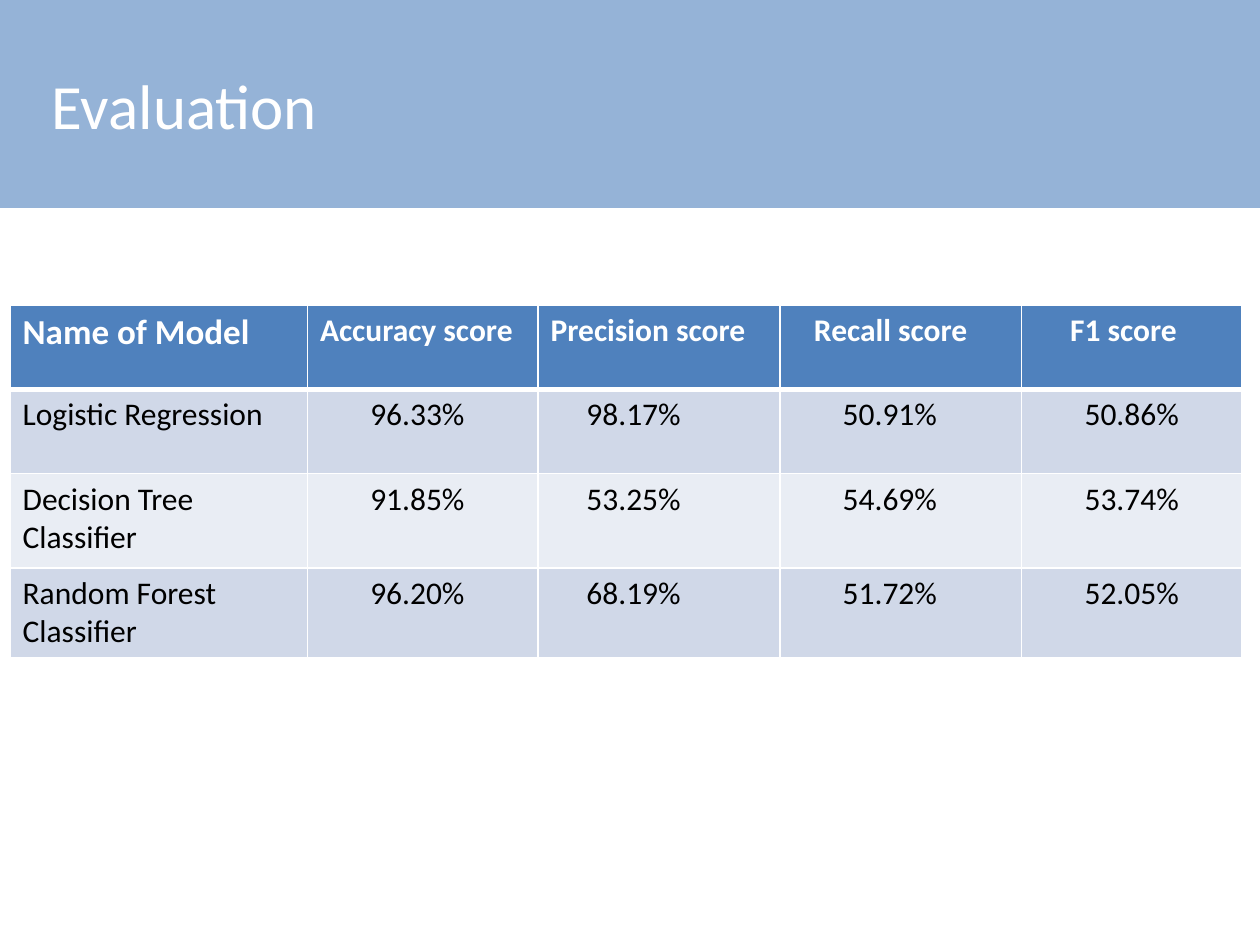
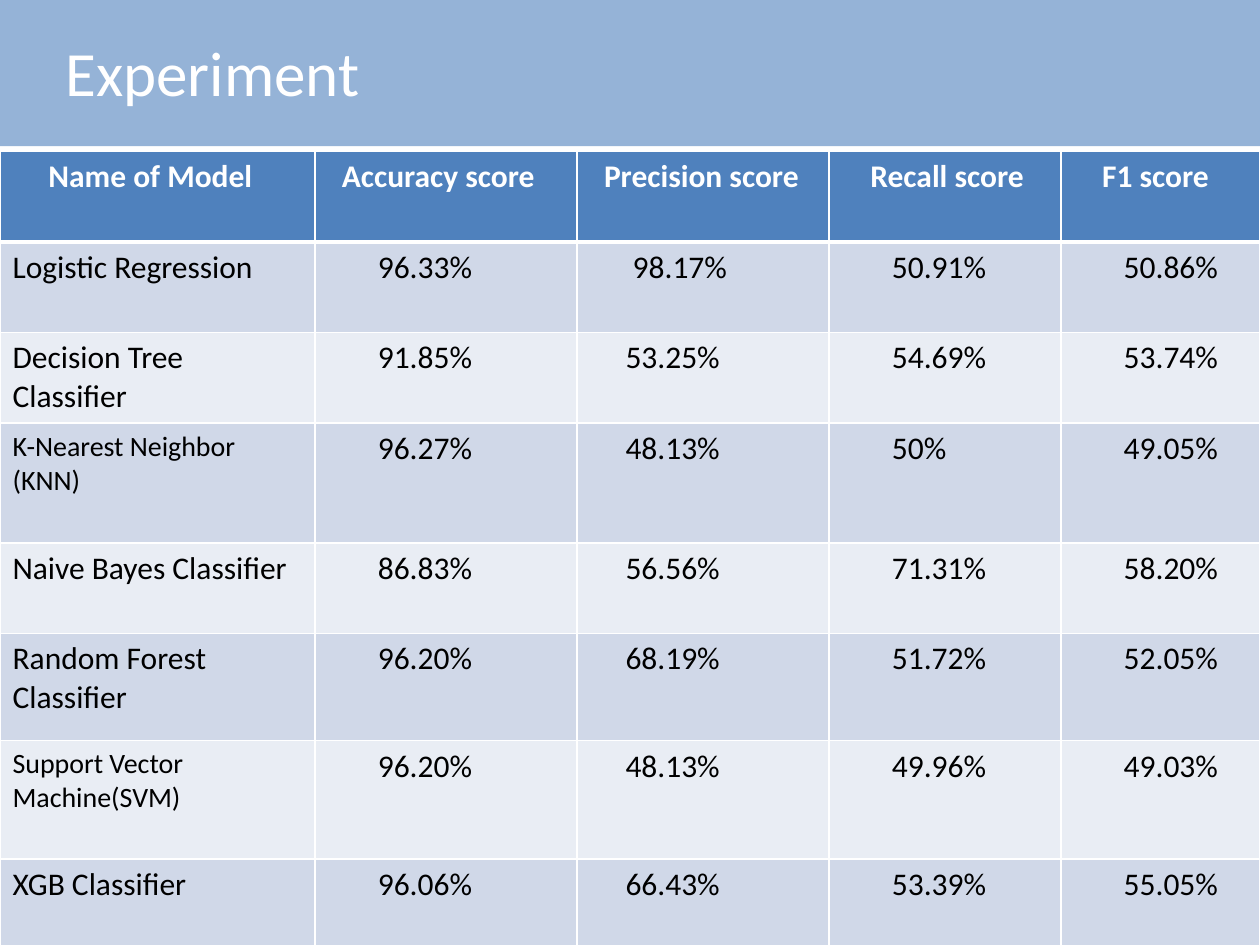
import pptx
import pptx.dml.color
import pptx.enum.shapes
import pptx.enum.text
import pptx.oxml.ns
import pptx.util
import lxml.etree


def tint(code):
    return pptx.dml.color.RGBColor.from_string(code)


def assign(item, form):
    for key, value in form.items():
        setattr(item, key, value)


class Deck:
    """Holds the shared style and the slide being filled, on a 100 by 75 grid."""

    band, head, rows, white, ink = "95B3D7", "4F81BD", ("D0D8E8", "E9EDF4"), "FFFFFF", "000000"
    face, inset, step = "Calibri", 1, 0.57

    def __init__(self):
        self.deck = pptx.Presentation()
        assign(self.deck, {"slide_width": pptx.util.Inches(10), "slide_height": pptx.util.Inches(7.5)})
        self.slide = None

    def unit(self, count):
        return round(self.deck.slide_width * count / 100)

    def page(self):
        self.slide = self.deck.slides.add_slide(self.deck.slide_layouts[6])

    def label(self, frame, text, size, color, bold=False):
        frame.text = text
        for para in frame.paragraphs:
            para.alignment = pptx.enum.text.PP_ALIGN.LEFT
            for run in para.runs:
                assign(run.font, {"name": self.face, "size": pptx.util.Pt(size), "bold": bold})
                run.font.color.rgb = tint(color)

    def title(self, text, top, high, pad):
        shape = self.slide.shapes.add_shape(
            pptx.enum.shapes.MSO_SHAPE.RECTANGLE, 0, self.unit(top), self.unit(100), self.unit(high))
        shape.shadow.inherit = False
        shape.fill.solid()
        shape.fill.fore_color.rgb = tint(self.band)
        shape.line.fill.background()
        assign(shape.text_frame, {"word_wrap": True, "margin_left": self.unit(pad),
                                  "vertical_anchor": pptx.enum.text.MSO_ANCHOR.MIDDLE})
        self.label(shape.text_frame, text, 36, self.white)

    def edge(self, cell, side, width):
        name = pptx.oxml.ns.qn
        line = lxml.etree.SubElement(cell._tc.get_or_add_tcPr(), name("a:ln" + side),
                                     w=str(pptx.util.Pt(width)))
        fill = lxml.etree.SubElement(line, name("a:solidFill"))
        lxml.etree.SubElement(fill, name("a:srgbClr"), val=self.white)

    def cell(self, cell, row, text, size, pad):
        top = row == 0
        for side in "LRTB":
            thick = (top and side == "B") or (row == 1 and side == "T")
            self.edge(cell, side, 3 if thick else 1)
        cell.fill.solid()
        cell.fill.fore_color.rgb = tint(self.head if top else self.rows[(row - 1) % 2])
        cell.margin_left = self.unit(self.inset + self.step * pad)
        self.label(cell.text_frame, text, size, self.white if top else self.ink, top)

    def table(self, left, top, wide, high, data, pads, odd):
        frame = self.slide.shapes.add_table(len(high), len(wide), self.unit(left), self.unit(top),
                                            self.unit(sum(wide)), self.unit(sum(high)))
        grid = frame.table
        for col, width in zip(grid.columns, wide):
            col.width = self.unit(width)
        for row, height in zip(grid.rows, high):
            row.height = self.unit(height)
        for row, line in enumerate(data):
            for col, text in enumerate(line):
                size, pad = odd.get((row, col), (18, pads[row > 0][col]))
                self.cell(grid.cell(row, col), row, text, size, pad)


HEAD = ("Name of Model", "Accuracy score", "Precision score", "Recall score", "F1 score")
LOGIT = ("Logistic Regression", "96.33%", "98.17%", "50.91%", "50.86%")
TREE = ("Decision Tree Classifier", "91.85%", "53.25%", "54.69%", "53.74%")
WOOD = ("Random Forest Classifier", "96.20%", "68.19%", "51.72%", "52.05%")
NEAR = ("K-Nearest Neighbor\n(KNN)", "96.27%", "48.13%", "50%", "49.05%")
BAYES = ("Naive Bayes Classifier", "86.83%", "56.56%", "71.31%", "58.20%")
SVM = ("Support Vector Machine(SVM)", "96.20%", "48.13%", "49.96%", "49.03%")
BOOST = ("XGB Classifier", "96.06%", "66.43%", "53.39%", "55.05%")
BODY = (0, 7, 5, 7, 7)

show = Deck()
show.page()
show.title("Evaluation", 0, 16.5, 4.1)
show.table(0.8, 24.2, (23.6, 18.3, 19.2, 19.2, 17.5), (6.7, 6.7, 7.5, 7),
           (HEAD, LOGIT, TREE, WOOD), ((0, 0, 0, 3, 5), BODY), {(0, 0): (20, 0)})

show.page()
show.title("Experiment", -0.3, 11.9, 5.2)
show.table(0, 12, (25, 20.8, 20, 18.4, 15.8), (7.2, 7.2, 7.2, 9.5, 7.2, 8.5, 9.4, 7.2),
           (HEAD, LOGIT, TREE, NEAR, BAYES, WOOD, SVM, BOOST), ((5, 2, 2, 4, 4), BODY),
           {(1, 2): (18, 6), (3, 0): (16, 0), (6, 0): (16, 0)})
show.deck.save("out.pptx")
